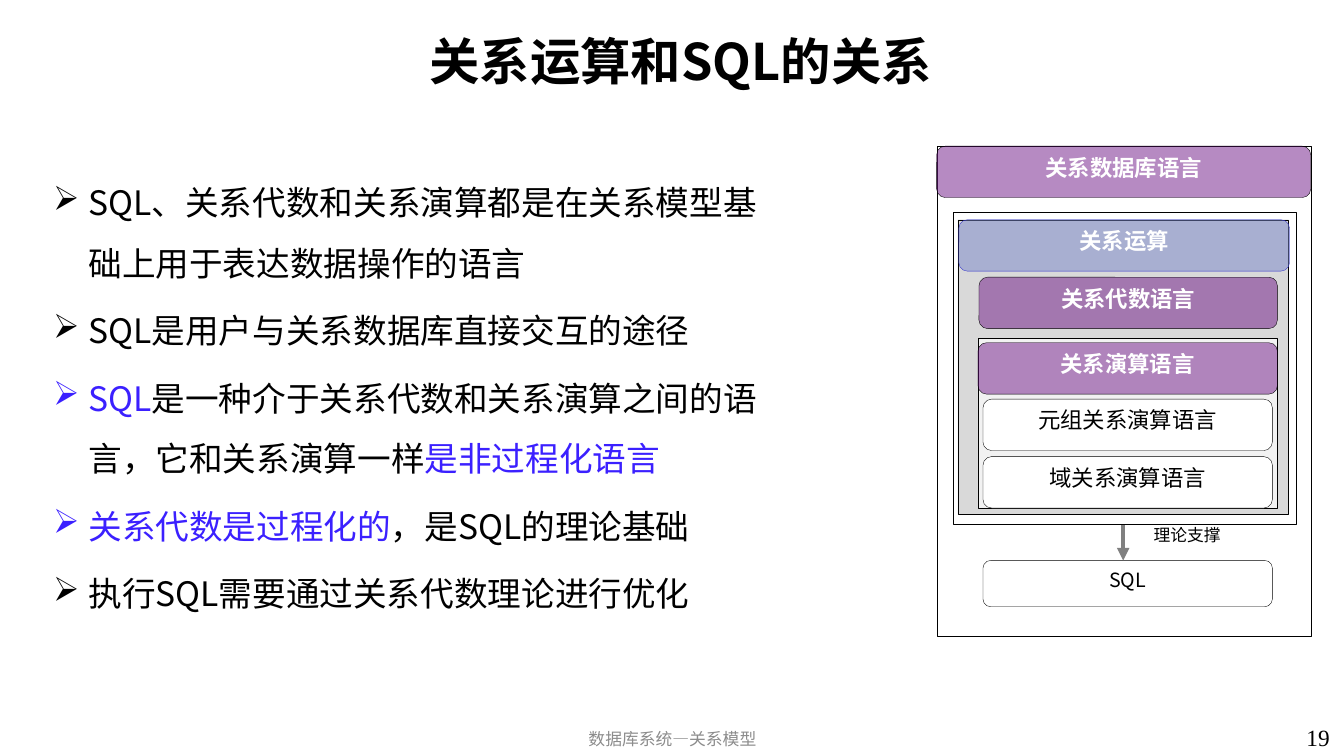
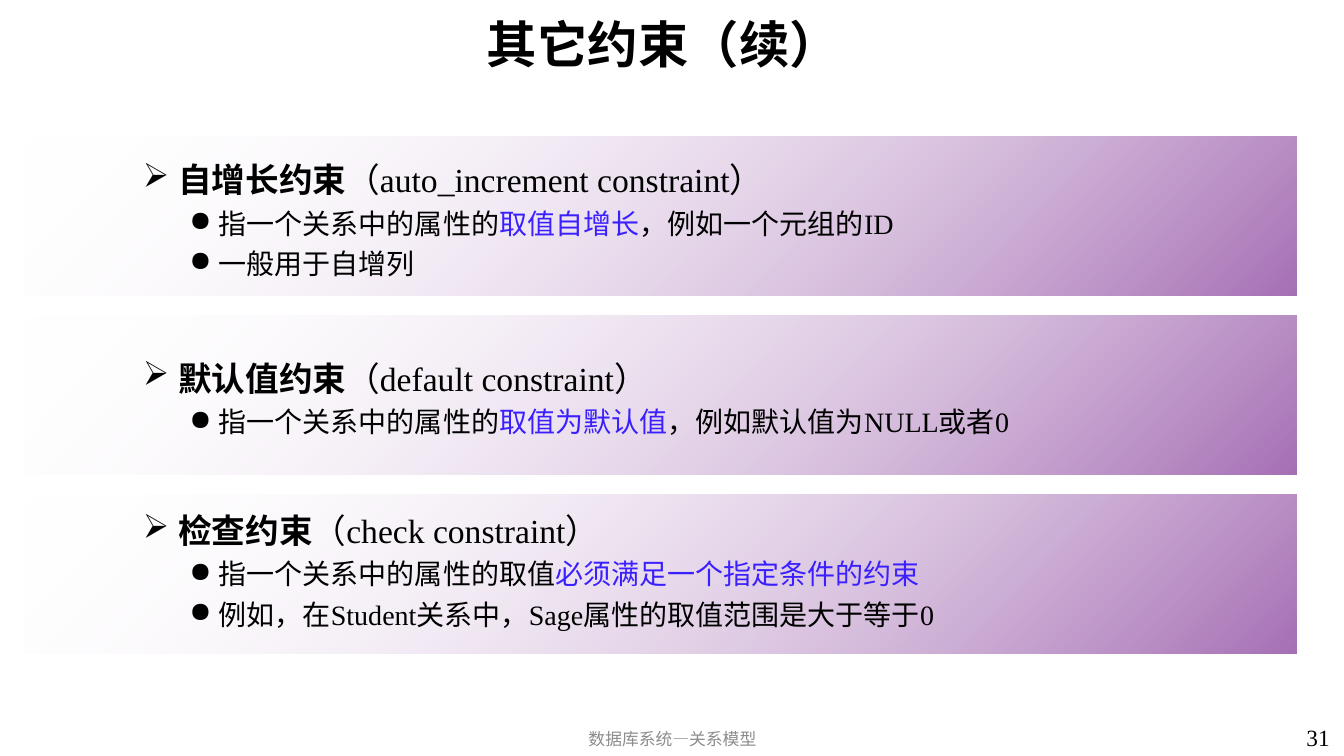
import pptx
import pptx.dml.color
import pptx.enum.shapes
import pptx.enum.text
import pptx.oxml.ns
import pptx.util
from lxml import etree

Inches = pptx.util.Inches
Pt = pptx.util.Pt
qn = pptx.oxml.ns.qn
SHAPES = pptx.enum.shapes.MSO_SHAPE
ANCHOR = pptx.enum.text.MSO_ANCHOR
ALIGN = pptx.enum.text.PP_ALIGN

BLACK, WHITE, GREY, FOOTER = "000000", "FFFFFF", "808080", "8C8C8C"
PURPLE, PERIWINKLE, ACCENT = "6F1787", "7886CA", "3B20FF"
SANS, SERIF = "Noto Sans CJK SC", "Times New Roman"

CENTRED = {"alignment": ALIGN.CENTER}
TITLE = {"name": SANS, "size": Pt(36), "bold": True, "color": BLACK}
FOOT = {"name": SANS, "size": Pt(12), "color": FOOTER}
NUMBER = {"name": SERIF, "size": Pt(16.6), "color": BLACK}
POINT = {"name": SANS, "size": Pt(24), "color": BLACK}
HEADING = {"name": SERIF, "size": Pt(24), "color": BLACK}
DETAIL = {"name": SERIF, "size": Pt(20), "color": BLACK}
BANNER = {"name": SANS, "size": Pt(16), "bold": True, "color": WHITE}
LABEL = {"name": SANS, "size": Pt(16), "color": BLACK}
CAPTION = {"name": SANS, "size": Pt(12), "color": BLACK}
ARROW_BULLET = ("➢", 0.35, 0.35)
DOT_BULLET = ("●", 0.75, 0.29)


def rgb(code):
    """Turn a hex string into a colour."""
    return pptx.dml.color.RGBColor.from_string(code)


def set_alpha(color_element, percent):
    """Make a colour element partly transparent."""
    etree.SubElement(color_element, qn("a:alpha"), val=str(percent * 1000))


def add_span(para, text, style):
    """Add a run of text with the given font values."""
    span = para.add_run()
    span.text = text
    for key, value in style.items():
        if key == "color":
            span.font.color.rgb = rgb(value)
        else:
            setattr(span.font, key, value)
    east_asian = etree.Element(qn("a:ea"), typeface=SANS)
    span.font._element.find(qn("a:latin")).addnext(east_asian)


def fill_para(para, spans, layout, bullet=None):
    """Write the spans of a paragraph after its bullet and layout values."""
    if bullet:
        symbol, margin, hanging = bullet
        properties = para._p.get_or_add_pPr()
        properties.set("marL", str(Inches(margin)))
        properties.set("indent", str(-Inches(hanging)))
        etree.SubElement(properties, qn("a:buChar"), char=symbol)
    for key, value in layout.items():
        setattr(para, key, value)
    for text, style in spans:
        add_span(para, text, style)


def add_text(page, box, paras, anchor=ANCHOR.TOP, wrap=True):
    """Add a text box holding (spans, layout, bullet) paragraphs."""
    frame = page.shapes.add_textbox(*map(Inches, box)).text_frame
    frame.word_wrap = wrap
    frame.vertical_anchor = anchor
    for index, content in enumerate(paras):
        para = frame.add_paragraph() if index else frame.paragraphs[0]
        fill_para(para, *content)


def add_panel(page, box, kind=SHAPES.RECTANGLE, fill=None, line=BLACK, alpha=None):
    """Add an outlined shape, filled if a colour is given."""
    panel = page.shapes.add_shape(kind, *map(Inches, box))
    panel.shadow.inherit = False
    if fill:
        panel.fill.solid()
        panel.fill.fore_color.rgb = rgb(fill)
    else:
        panel.fill.background()
    if alpha:
        set_alpha(next(panel._element.spPr.iter(qn("a:srgbClr"))), alpha)
    panel.line.color.rgb = rgb(line)
    panel.line.width = Pt(0.25)
    return panel


def add_label(page, box, text, style, **look):
    """Add a rounded box with a centred label at its top."""
    label = add_panel(page, box, SHAPES.ROUNDED_RECTANGLE, **look)
    label.text_frame.word_wrap = True
    label.text_frame.vertical_anchor = ANCHOR.TOP
    fill_para(label.text_frame.paragraphs[0], [(text, style)], CENTRED)


def add_arrow(page, x, top, bottom):
    """Add a downward arrow."""
    arrow = page.shapes.add_connector(
        pptx.enum.shapes.MSO_CONNECTOR.STRAIGHT,
        Inches(x), Inches(top), Inches(x), Inches(bottom))
    arrow.line.color.rgb = rgb(GREY)
    arrow.line.width = Pt(3)
    etree.SubElement(arrow.line._get_or_add_ln(), qn("a:tailEnd"), type="triangle")
    etree.SubElement(arrow._element.spPr, qn("a:effectLst"))


def add_page(deck, title, left, top, number):
    """Add a blank page with title, footer and page number."""
    page = deck.slides.add_slide(deck.slide_layouts[6])
    add_text(page, (left, top, 11.04, 0.74), [([(title, TITLE)], CENTRED)], ANCHOR.MIDDLE)
    add_text(page, (4.42, 7.16, 4.5, 0.34),
             [([("数据库系统—关系模型", FOOT)], CENTRED)], ANCHOR.MIDDLE)
    add_text(page, (12.86, 7.13, 0.63, 0.52), [([(number, NUMBER)], {})], wrap=False)
    return page


def add_points(page, box):
    """Add the list that compares SQL with the relational languages."""
    accent = {**POINT, "color": ACCENT}
    points = [
        [("SQL、关系代数和关系演算都是在关系模型基础上用于表达数据操作的语言", POINT)],
        [("SQL是用户与关系数据库直接交互的途径", POINT)],
        [("SQL", accent),
         ("是一种介于关系代数和关系演算之间的语言，它和关系演算一样", POINT),
         ("是非过程化语言", accent)],
        [("关系代数是过程化的", accent), ("，是SQL的理论基础", POINT)],
        [("执行SQL需要通过关系代数理论进行优化", POINT)],
    ]
    add_text(page, box, [
        (spans, {"line_spacing": 1.5, "space_before": Pt(5 if index else 0)}, ARROW_BULLET)
        for index, spans in enumerate(points)])


def add_language_map(page, box):
    """Add the nested diagram of database languages."""
    left, top, width, height = box

    def place(x, y, w, h=0.51):
        return left + x, top + y, w, h

    add_panel(page, box, fill=WHITE)
    add_panel(page, place(0.21, 0.73, 3.28, 2.92), fill="D9D9D9")
    add_panel(page, place(0.41, 1.91, 2.97, 1.68), fill="F2F2F2")
    banners = [
        ("关系数据库语言", (0, 0, width), PURPLE, BLACK),
        ("关系运算", (0.22, 0.73, 3.28), PERIWINKLE, "3333CC"),
        ("关系代数语言", (0.42, 1.3, 2.96), PURPLE, BLACK),
        ("关系演算语言", (0.41, 1.95, 2.97), PURPLE, BLACK),
    ]
    for text, spot, fill, line in banners:
        add_label(page, place(*spot), text, BANNER, fill=fill, line=line, alpha=50)
    for text, y in (("域关系演算语言", 3.08), ("元组关系演算语言", 2.51)):
        add_label(page, place(0.46, y, 2.87), text, LABEL, fill=WHITE)
    add_label(page, place(0.46, 4.11, 2.87, 0.46), "SQL",
              {**LABEL, "size": Pt(14)}, fill=WHITE)
    add_text(page, place(1.68, 3.71, 1.61, 0.42), [([("理论支撑", CAPTION)], CENTRED)])
    add_panel(page, place(0.16, 0.66, 3.41, 3.09))
    add_arrow(page, left + 1.85, top + 3.76, top + 4.11)


def add_band(page, box):
    """Add a band that fades from purple at the lower right."""
    band = page.shapes.add_shape(SHAPES.RECTANGLE, *map(Inches, box))
    band.shadow.inherit = False
    band.line.fill.background()
    band.fill.gradient()
    band.fill.gradient_angle = 135
    for stop, color, position in zip(band.fill.gradient_stops, (PURPLE, WHITE), (0, 1)):
        stop.color.rgb = rgb(color)
        stop.position = position
    for element, alpha in zip(list(band._element.spPr.iter(qn("a:srgbClr"))), (62, 0)):
        set_alpha(element, alpha)


def add_constraint(page, box, name, english, details):
    """Add one constraint: its heading and its details."""
    heading = [(name, {**HEADING, "bold": True}), (english, HEADING)]
    paras = [(heading, {}, ARROW_BULLET)]
    for parts in details:
        spans = [(text, {**DETAIL, "color": ACCENT if index % 2 else BLACK})
                 for index, text in enumerate(parts)]
        paras.append((spans, {"level": 1, "space_before": Pt(4.8)}, DOT_BULLET))
    add_text(page, box, paras)


def build_sql_page(deck):
    """Build the page on relational operations and SQL."""
    page = add_page(deck, "关系运算和SQL的关系", 1.23, 0.23, "19")
    add_points(page, (0.43, 1.56, 7.47, 2.72))
    add_language_map(page, (9.29, 1.45, 3.71, 4.86))


def build_constraint_page(deck):
    """Build the page on further constraints."""
    page = add_page(deck, "其它约束（续）", 1.06, 0.06, "31")
    constraints = [
        (1.53, "自增长约束", "（auto_increment constraint）",
         [("指一个关系中的属性的", "取值自增长", "，例如一个元组的ID"), ("一般用于自增列",)]),
        (3.5, "默认值约束", "（default constraint）",
         [("指一个关系中的属性的", "取值为默认值", "，例如默认值为NULL或者0")]),
        (5.01, "检查约束", "（check constraint）",
         [("指一个关系中的属性的取值", "必须满足一个指定条件的约束"),
          ("例如，在Student关系中，Sage属性的取值范围是大于等于0",)]),
    ]
    for row, (top, *content) in enumerate(constraints):
        add_band(page, (0.24, 1.36 + 1.775 * row, 12.62, 1.57))
        add_constraint(page, (1.32, top, 11.36, 1.37), *content)


def main():
    """Build and save the deck."""
    deck = pptx.Presentation()
    deck.slide_width, deck.slide_height = Inches(13.33), Inches(7.5)
    build_sql_page(deck)
    build_constraint_page(deck)
    deck.save("out.pptx")


if __name__ == "__main__":
    main()
